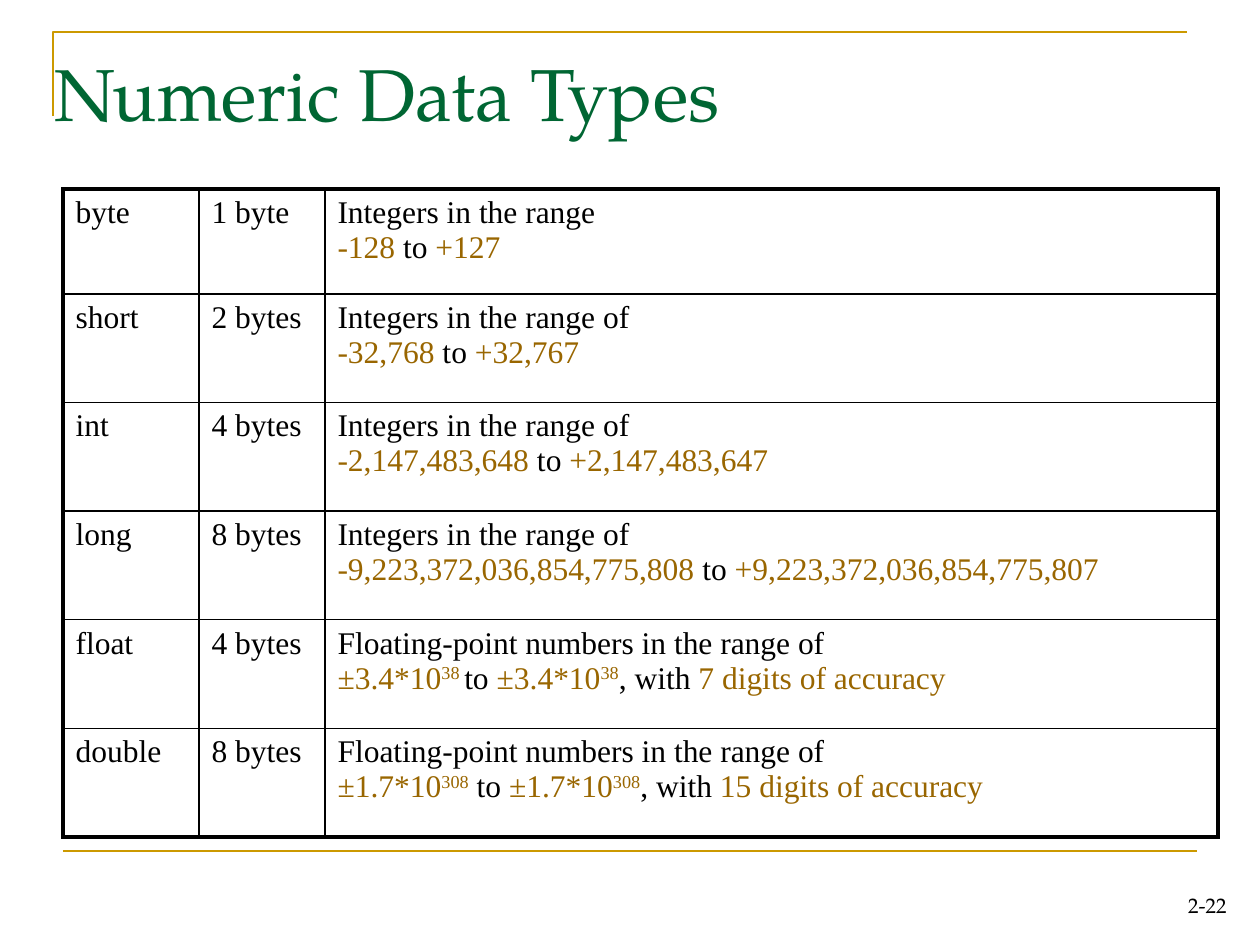
from pptx import Presentation
from pptx.dml.color import RGBColor
from pptx.enum.shapes import MSO_CONNECTOR
from pptx.enum.text import MSO_ANCHOR, PP_ALIGN
from pptx.oxml.ns import qn
from pptx.util import Pt
from lxml.etree import SubElement

# Content: a paragraph is a list of (text, style) runs
TITLE = "Numeric Data Types"
PAGE = "2-22"
INTEGERS = "Integers in the range of"
FLOATS = "Floating-point numbers in the range of "


def integer_range(low, high, lead=INTEGERS):
    return [[(lead, "plain")], [(low, "value"), (" to ", "plain"), (high, "value")]]


def float_range(base, power, digits, gap=("", " ")):
    after_power, before_to = gap
    return [[(FLOATS, "plain")],
            [(base, "value"), (power + after_power, "power"), (before_to + "to ", "plain"),
             (base, "value"), (power, "power"), (", with ", "plain"),
             (digits + " digits of accuracy", "value")]]


DATA_TYPES = [
    ("byte", "1 byte", integer_range("-128", "+127", lead="Integers in the range")),
    ("short", "2 bytes", integer_range("-32,768", "+32,767")),
    ("int", "4 bytes", integer_range("-2,147,483,648", "+2,147,483,647")),
    ("long", "8 bytes", integer_range("-9,223,372,036,854,775,808",
                                      "+9,223,372,036,854,775,807")),
    ("float", "4 bytes", float_range("±3.4*10", "38", "7", gap=(" ", ""))),
    ("double", "8 bytes", float_range("±1.7*10", "308", "15")),
]

COLORS = {"title": "006633", "rule": "CC9900", "plain": "000000",
          "value": "996600", "power": "996600", "border": "000000"}
HEADING_FONT, TABLE_FONT = "TeX Gyre Pagella", "Times New Roman"

# Layout in pixels
PX = 914400 // 126
COLUMN_WIDTHS = [136, 126, 893]
TABLE_LEFT, TABLE_TOP, TABLE_BOTTOM = 63, 189, 837
FIRST_ROW = 105
THICK, THIN = 2.25, 1


def px(*lengths):
    return [round(length * PX) for length in lengths]


def color(name):
    return RGBColor.from_string(COLORS[name])


def write(frame, text, font=TABLE_FONT, size=18, style="plain",
          align=PP_ALIGN.LEFT, anchor=MSO_ANCHOR.TOP):
    """Fill a text frame with a string or a list of styled paragraphs."""
    paragraphs = [[(text, style)]] if isinstance(text, str) else text
    frame.word_wrap = True
    frame.vertical_anchor = anchor
    for i, runs in enumerate(paragraphs):
        paragraph = frame.paragraphs[0] if i == 0 else frame.add_paragraph()
        paragraph.alignment = align
        for words, run_style in runs:
            run = paragraph.add_run()
            run.text = words
            run.font.name, run.font.size = font, Pt(size)
            run.font.color.rgb = color(run_style)
            if run_style == "power":
                run.font._element.set("baseline", "30000")


def set_borders(cell, widths):
    properties = cell._tc.get_or_add_tcPr()
    for i, (side, width) in enumerate(widths.items()):
        line = properties.makeelement(qn("a:ln" + side), {"w": str(Pt(width))})
        fill = SubElement(line, qn("a:solidFill"))
        SubElement(fill, qn("a:srgbClr"), val=COLORS["border"])
        properties.insert(i, line)


prs = Presentation()
prs.slide_width, prs.slide_height = px(1260, 945)
slide = prs.slides.add_slide(prs.slide_layouts[5])

# Corner rule above the title
outline = slide.shapes.build_freeform(*px(53, 116), scale=1.0)
outline.add_line_segments([px(53, 32), px(1187, 32)], close=False)
corner = outline.convert_to_shape()
corner.shadow.inherit = False
corner.fill.background()

# Rule below the table
footer_rule = slide.shapes.add_connector(MSO_CONNECTOR.STRAIGHT, *px(63, 851, 1197, 851))
SubElement(footer_rule._element.spPr, qn("a:effectLst"))
for rule in (corner, footer_rule):
    rule.line.color.rgb = color("rule")
    rule.line.width = Pt(1.5)

# Title and page number
title = slide.shapes.title
title.left, title.top, title.width, title.height = px(42, 42, 1187, 137)
write(title.text_frame, TITLE, font=HEADING_FONT, size=42, style="title")
page = slide.shapes.add_textbox(*px(977, 861, 262, 63))
write(page.text_frame, PAGE, font=HEADING_FONT, size=12,
      align=PP_ALIGN.RIGHT, anchor=MSO_ANCHOR.BOTTOM)

# Table of data types
last_row, last_column = len(DATA_TYPES) - 1, len(COLUMN_WIDTHS) - 1
height = TABLE_BOTTOM - TABLE_TOP
types_table = slide.shapes.add_table(
    last_row + 1, last_column + 1,
    *px(TABLE_LEFT, TABLE_TOP, sum(COLUMN_WIDTHS), height)).table
types_table.first_row = types_table.horz_banding = False
for column, width in zip(types_table.columns, px(*COLUMN_WIDTHS)):
    column.width = width
other_rows = [(height - FIRST_ROW) / last_row] * last_row
for row, row_height in zip(types_table.rows, px(FIRST_ROW, *other_rows)):
    row.height = row_height

for r, data_type in enumerate(DATA_TYPES):
    for c, entry in enumerate(data_type):
        cell = types_table.cell(r, c)
        cell.fill.background()
        write(cell.text_frame, entry)
        outer = {"L": c == 0, "R": c == last_column, "T": r == 0, "B": r == last_row}
        set_borders(cell, {side: THICK if edge else THIN for side, edge in outer.items()})

prs.save("out.pptx")
